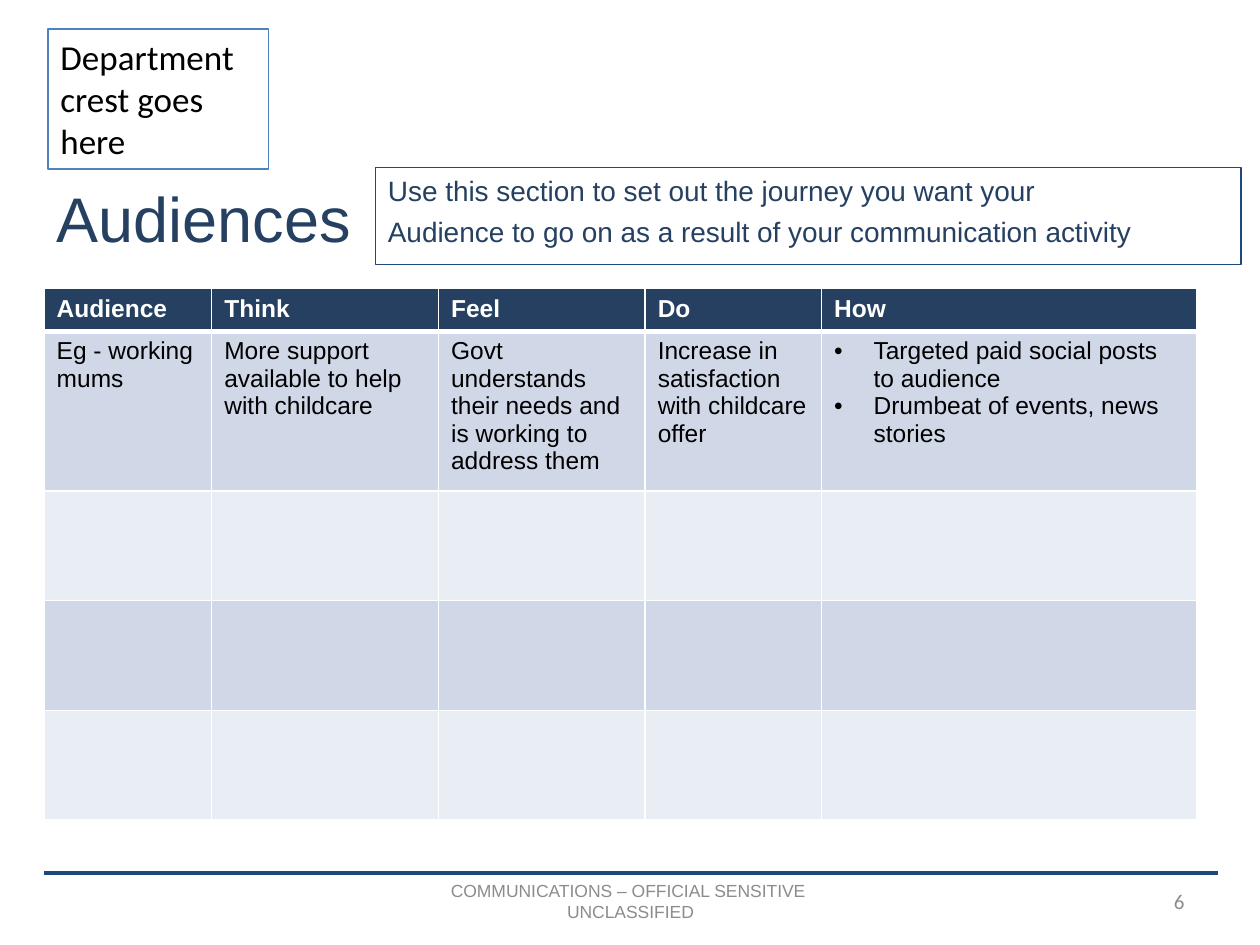
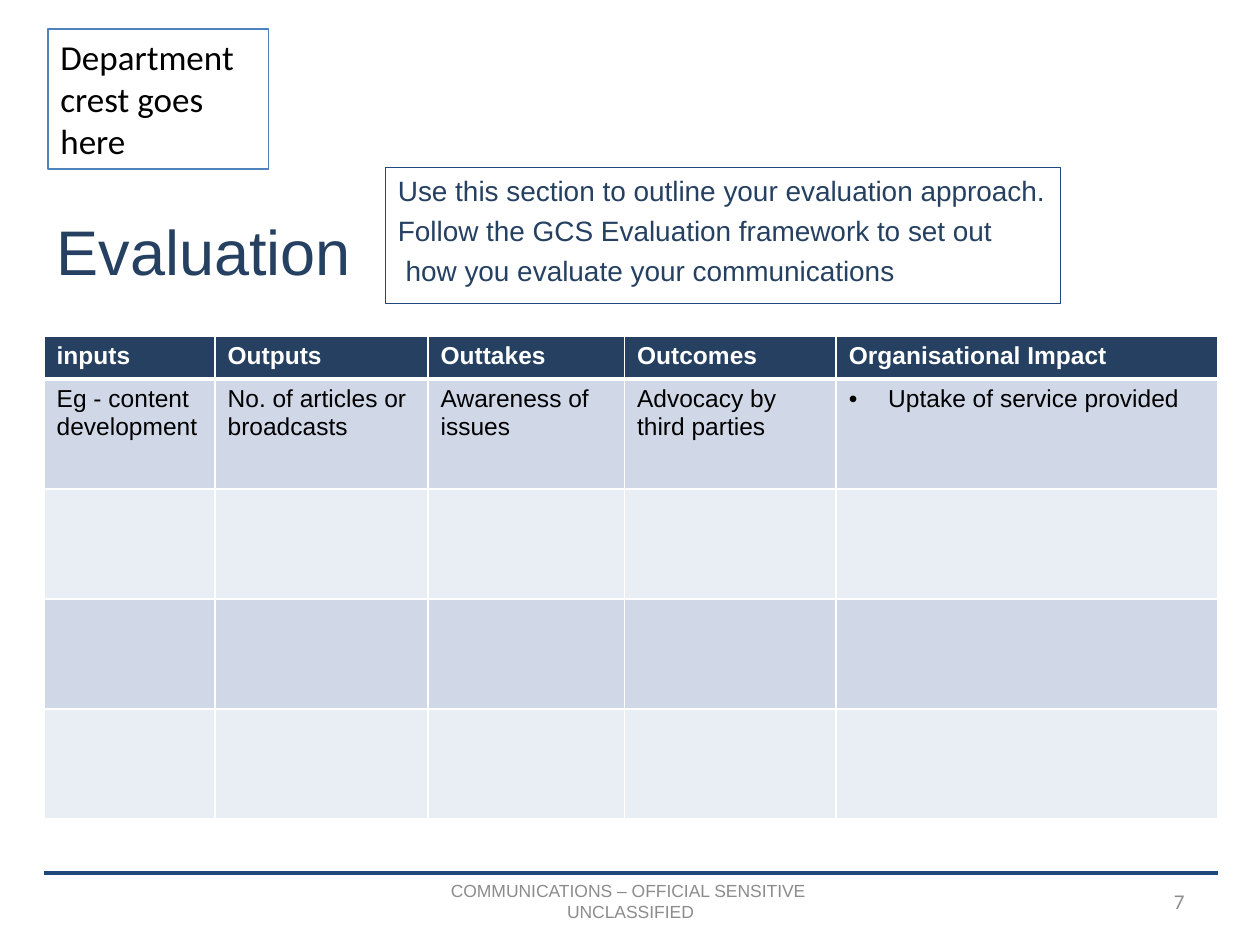
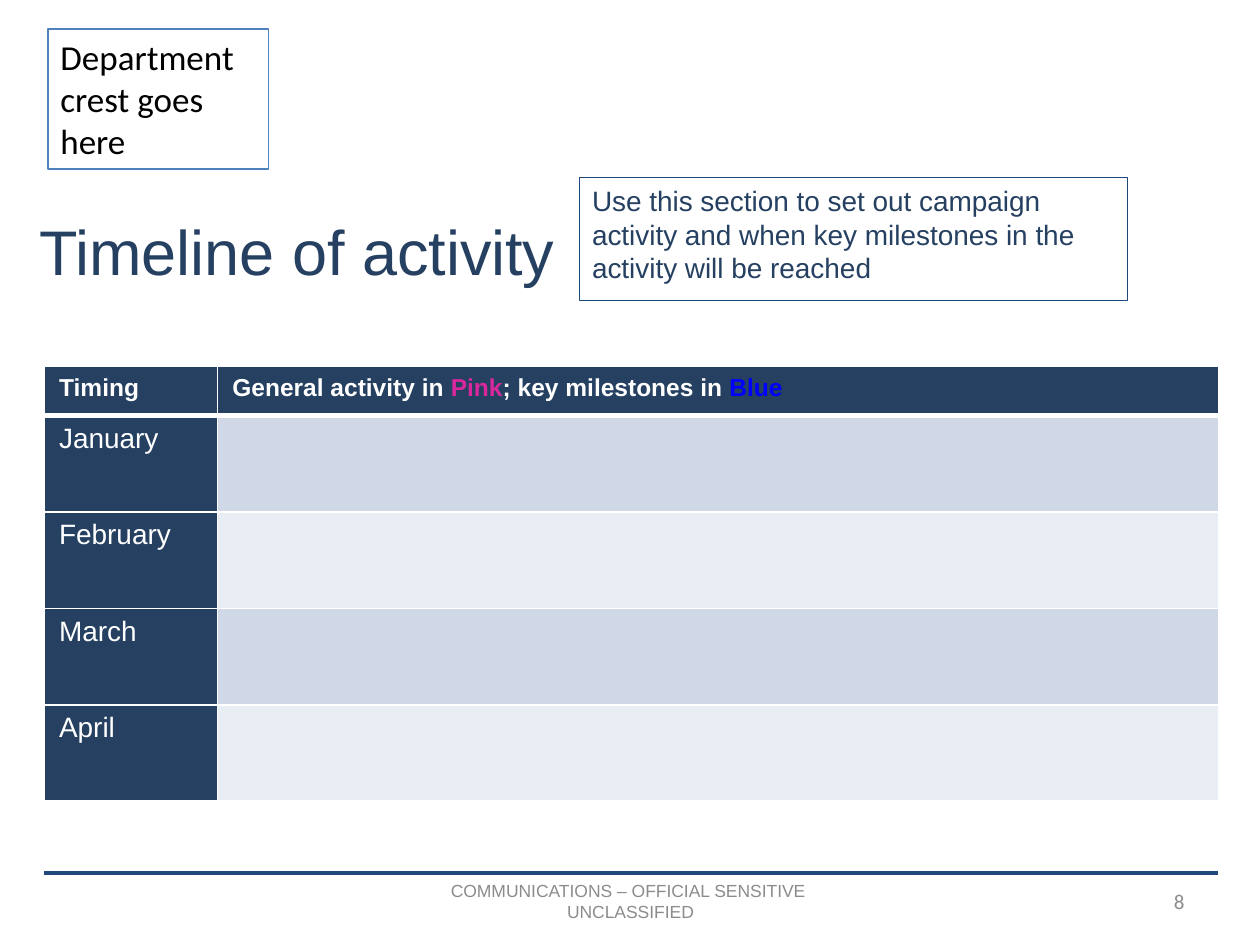
from lxml import etree
from pptx import Presentation
from pptx.dml.color import RGBColor
from pptx.enum import shapes, text
from pptx.oxml import ns
from pptx.util import Pt

NAVY = RGBColor(0x25, 0x40, 0x61)
RULE = RGBColor(0x1F, 0x49, 0x7D)
CREST_LINE = RGBColor(0x4F, 0x81, 0xBD)
GREY = RGBColor(0x8C, 0x8C, 0x8C)
BLACK = RGBColor(0x00, 0x00, 0x00)
WHITE = RGBColor(0xFF, 0xFF, 0xFF)
PINK = RGBColor(0xD9, 0x28, 0x9E)
BLUE = RGBColor(0x00, 0x00, 0xFF)
BANDS = (RGBColor(0xD0, 0xD8, 0xE8), RGBColor(0xE9, 0xED, 0xF4))

CREST = "Department crest goes here"
FOOTER = "COMMUNICATIONS – OFFICIAL SENSITIVE \vUNCLASSIFIED"
FIRST_NUMBER = 6
LEFT = 25.2
RULE_Y = 499
BODY_ROWS = 4
BULLET_INDENT = 22.5

SLIDES = [
    dict(
        title="Audiences", title_at=(25.2, 95.8, 273.6, 41),
        note=["Use this section to set out the journey you want your",
              "Audience to go on as a result of your communication activity"],
        note_at=(214.6, 95.8, 494.6, 55.4),
        top=164.9, cols=(95.8, 129.6, 118.1, 100.8, 214.5), header_h=24.4, row_h=62.7,
        header=["Audience", "Think", "Feel", "Do", "How"],
        body=["Eg - working mums", "More support available to help with childcare",
              "Govt understands their needs and is working to address them",
              "Increase in satisfaction with childcare offer",
              ["Targeted paid social posts to audience", "Drumbeat of events, news stories"]],
    ),
    dict(
        title="Evaluation", title_at=(25.2, 114.5, 195.1, 41),
        note=["Use this section to outline your evaluation approach.",
              "Follow the GCS Evaluation framework to set out",
              "how you evaluate your communications"],
        note_at=(220.3, 95.6, 385.9, 77.8), last_indent=4.4,
        top=192.2, cols=(97.7, 121.7, 112.3, 121, 218.3), header_h=24.4, row_h=62.9,
        header=["inputs", "Outputs", "Outtakes", "Outcomes", "Organisational Impact"],
        body=["Eg - content development", "No. of articles or broadcasts",
              "Awareness of issues", "Advocacy by third parties",
              ["Uptake of service provided"]],
    ),
    dict(
        title="Timeline of activity", title_at=(15.1, 114.5, 346.3, 41),
        note=["Use this section to set out campaign activity and when key milestones "
              "in the activity will be reached"],
        note_at=(331.2, 101.4, 313.2, 70.4),
        top=209.5, cols=(99, 572), header_h=28, row_h=55.1, margins=(8.6, 4.3),
        header=["Timing", [("General activity in ", WHITE), ("Pink", PINK),
                           ("; key milestones in ", WHITE), ("Blue", BLUE)]],
        months=["January", "February", "March", "April"],
    ),
]


def write(tf, paras, size, color, font="Arial", bold=False, align=None, before=0, bullet=False):
    for i, para in enumerate(paras):
        p = tf.paragraphs[0] if i == 0 else tf.add_paragraph()
        if bullet:
            pPr = p._p.get_or_add_pPr()
            pPr.set("marL", str(Pt(BULLET_INDENT)))
            pPr.set("indent", str(-Pt(BULLET_INDENT)))
            etree.SubElement(pPr, ns.qn("a:buFont"), typeface="Arial")
            etree.SubElement(pPr, ns.qn("a:buChar"), char="•")
        if align is not None:
            p.alignment = align
        p.space_before = Pt(before if i else 0)
        for words, tint in [(para, color)] if isinstance(para, str) else para:
            for n, line in enumerate(words.split("\v")):
                if n:
                    p.add_line_break()
                r = p.add_run()
                r.text = line
                r.font.size = Pt(size)
                r.font.name = font
                r.font.bold = bold
                r.font.color.rgb = tint


def add_box(s, at, line):
    sp = s.shapes.add_shape(shapes.MSO_SHAPE.RECTANGLE, *map(Pt, at))
    sp.shadow.inherit = False
    sp.fill.background()
    sp.line.color.rgb = line
    sp.line.width = Pt(0.75)
    tf = sp.text_frame
    tf.word_wrap = True
    tf.vertical_anchor = text.MSO_ANCHOR.TOP
    return tf


def add_label(s, at, words, wrap=True, **fmt):
    tf = s.shapes.add_textbox(*map(Pt, at)).text_frame
    tf.word_wrap = wrap
    tf.vertical_anchor = text.MSO_ANCHOR.MIDDLE
    write(tf, [words], color=GREY, **fmt)


def add_frame(s, number):
    write(add_box(s, (27.4, 16.6, 126, 80), CREST_LINE), [CREST], 20, BLACK,
          font="Calibri", align=text.PP_ALIGN.LEFT)
    add_label(s, (246.2, RULE_Y, 228.2, 31.7), FOOTER, wrap=False, size=10,
              align=text.PP_ALIGN.CENTER)
    add_label(s, (516.2, 500.4, 167.8, 28.8), str(number), size=12, font="Calibri",
              align=text.PP_ALIGN.RIGHT)
    rule = s.shapes.add_connector(shapes.MSO_CONNECTOR.STRAIGHT,
                                  Pt(LEFT), Pt(RULE_Y), Pt(696.2), Pt(RULE_Y))
    rule.line.color.rgb = RULE
    rule.line.width = Pt(2)
    etree.SubElement(rule._element.spPr, ns.qn("a:effectLst"))


def add_title(s, words, at):
    sp = s.shapes.title
    sp.left, sp.top, sp.width, sp.height = map(Pt, at)
    tf = sp.text_frame
    tf.word_wrap = True
    tf.auto_size = text.MSO_AUTO_SIZE.NONE
    tf.vertical_anchor = text.MSO_ANCHOR.TOP
    tf.margin_top = Pt(7)
    write(tf, [words], 36, NAVY, align=text.PP_ALIGN.LEFT)


def add_note(s, paras, at, last_indent=0):
    tf = add_box(s, at, RULE)
    write(tf, paras, 16, NAVY, align=text.PP_ALIGN.LEFT, before=3.8)
    if last_indent:
        tf.paragraphs[-1]._p.get_or_add_pPr().set("marL", str(Pt(last_indent)))


def style_cell(cell, fill, row, margins):
    cell.margin_left = cell.margin_right = Pt(margins[0])
    cell.margin_top = cell.margin_bottom = Pt(margins[1])
    tcPr = cell._tc.get_or_add_tcPr()
    widths = dict(lnL=1, lnR=1, lnT=3 if row == 1 else 1, lnB=3 if row == 0 else 1)
    for side, width in widths.items():
        ln = etree.SubElement(tcPr, ns.qn("a:" + side), w=str(Pt(width)))
        solid = etree.SubElement(ln, ns.qn("a:solidFill"))
        etree.SubElement(solid, ns.qn("a:srgbClr"), val=str(WHITE))
    cell.fill.solid()
    cell.fill.fore_color.rgb = fill


def add_grid(s, d):
    cols, months = d["cols"], d.get("months")
    heights = [d["header_h"]] + [d["row_h"]] * BODY_ROWS
    table = s.shapes.add_table(len(heights), len(cols), Pt(LEFT), Pt(d["top"]),
                               Pt(sum(cols)), Pt(sum(heights))).table
    table.horz_banding = False
    for col, width in zip(table.columns, cols):
        col.width = Pt(width)
    for r, height in enumerate(heights):
        table.rows[r].height = Pt(height)
        for c in range(len(cols)):
            dark = r == 0 or (months and c == 0)
            style_cell(table.cell(r, c), NAVY if dark else BANDS[(r - 1) % 2], r,
                       d.get("margins", (7.2, 3.6)))
    for c, words in enumerate(d["header"]):
        write(table.cell(0, c).text_frame, [words], 14, WHITE, bold=True)
    for c, words in enumerate(d.get("body", [])):
        listed = isinstance(words, list)
        write(table.cell(1, c).text_frame, words if listed else [words], 14, BLACK, bullet=listed)
    for r, month in enumerate(months or [], 1):
        write(table.cell(r, 0).text_frame, [month], 16, WHITE)


def main():
    prs = Presentation()
    prs.slide_width, prs.slide_height = Pt(720), Pt(540)
    for number, d in enumerate(SLIDES, FIRST_NUMBER):
        s = prs.slides.add_slide(prs.slide_layouts[5])
        add_frame(s, number)
        add_title(s, d["title"], d["title_at"])
        add_note(s, d["note"], d["note_at"], d.get("last_indent", 0))
        add_grid(s, d)
    prs.save("out.pptx")


if __name__ == "__main__":
    main()
